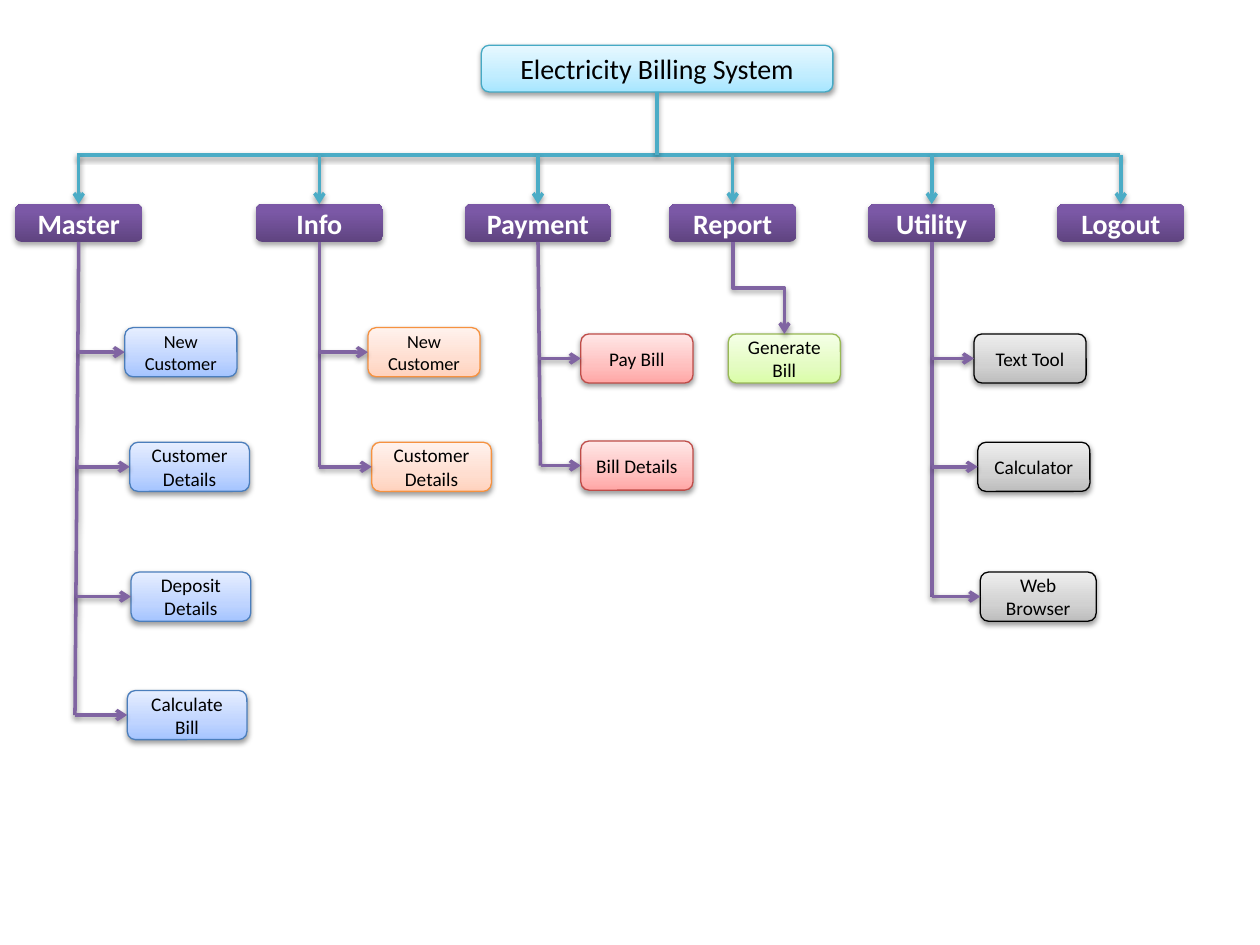
from dataclasses import dataclass

from lxml import etree
from pptx import Presentation, util as u
from pptx.dml.color import RGBColor
from pptx.enum import shapes, text
from pptx.oxml import ns

COLUMNS, ROWS = 1000, 750
HEADER_TOP, HEADER_HEIGHT, LEAF_HEIGHT = 162, 30, 39
BUS_ROW = 123
TEAL, PURPLE = "4BACC6", "8064A2"


@dataclass(frozen=True)
class Palette:
    stops: tuple[tuple[int, str], ...]
    outline: str | None = None
    ink: str = "000000"
    shadow_alpha: int = 38
    shadow_distance: int = 20000


@dataclass(frozen=True)
class Leaf:
    label: str
    left: int
    top: int
    width: int = 89
    size: float = 11

    @property
    def middle(self) -> float:
        return self.top + LEAF_HEIGHT / 2


@dataclass(frozen=True)
class Branch:
    label: str
    left: int
    palette: Palette | None = None
    leaves: tuple[Leaf, ...] = ()
    width: int = 101
    lean: int = 0
    elbow: bool = False

    @property
    def axis(self) -> float:
        return self.left + self.width / 2


def tint(dark: str, mid: str, light: str, outline: str) -> Palette:
    return Palette(((0, dark), (35, mid), (100, light)), outline)


AQUA = tint("A7E6FF", "C1EDFF", "E7F8FF", "46AAC5")
BLUE = tint("A4C4FF", "BFD4FF", "E6EEFF", "4B7EBC")
ORANGE = tint("FFD2BD", "FFDED0", "FFF2ED", "F69240")
RED = tint("FFA6A5", "FFC0BF", "FFE7E7", "BF4C48")
GREEN = tint("DAFDA7", "E4FCC2", "F5FFE7", "98B955")
GREY = tint("BDBDBD", "D1D1D1", "EEEEEE", "000000")
VIOLET = Palette(((0, "5F4480"), (80, "7B58A6"), (100, "7C57A8")), None, "FFFFFF", 35, 23000)

BRANCHES = (
    Branch("Master", 12, BLUE, (
        Leaf("New Customer", 99, 260, size=10.5),
        Leaf("Customer Details", 103, 351, 95),
        Leaf("Deposit Details", 104, 454, 95),
        Leaf("Calculate Bill", 101, 548, 95)), lean=-3),
    Branch("Info", 203, ORANGE, (
        Leaf("New Customer", 292, 260, size=10.5),
        Leaf("Customer Details", 295, 351, 95))),
    Branch("Payment", 369, RED, (
        Leaf("Pay Bill", 461, 265),
        Leaf("Bill Details", 461, 350)), width=116, lean=2),
    Branch("Report", 531, GREEN, (Leaf("Generate Bill", 578, 265),), elbow=True),
    Branch("Utility", 689, GREY, (
        Leaf("Text Tool", 773, 265),
        Leaf("Calculator", 776, 351),
        Leaf("Web Browser", 778, 454, 92))),
    Branch("Logout", 839),
)

deck = Presentation()
deck.slide_width, deck.slide_height = u.Inches(10), u.Inches(7.5)
slide = deck.slides.add_slide(deck.slide_layouts[6])


def across(column: float) -> int:
    return round(deck.slide_width * column / COLUMNS)


def down(row: float) -> int:
    return round(deck.slide_height * row / ROWS)


def colour(value: str) -> RGBColor:
    return RGBColor.from_string(value)


def child(parent, tag: str, **attributes):
    return etree.SubElement(parent, ns.qn(tag), {k: str(v) for k, v in attributes.items()})


def cast_shadow(item, alpha: int = 38, distance: int = 20000) -> None:
    effects = child(item.element.spPr, "a:effectLst")
    shadow = child(effects, "a:outerShdw", blurRad=40000, dist=distance,
                   dir=5400000, rotWithShape=0)
    black = child(shadow, "a:srgbClr", val="000000")
    child(black, "a:alpha", val=alpha * 1000)


def add_box(label: str, left: float, top: float, width: float, height: float,
            palette: Palette, size: float, bold: bool = False) -> None:
    box = slide.shapes.add_shape(shapes.MSO_SHAPE.ROUNDED_RECTANGLE, across(left),
                                 down(top), across(width), down(height))
    box.fill.gradient()
    box.fill.gradient_angle = 90
    stops = box.element.spPr.find(".//" + ns.qn("a:gsLst"))
    stops.clear()
    for position, value in palette.stops:
        child(child(stops, "a:gs", pos=position * 1000), "a:srgbClr", val=value)
    if palette.outline:
        box.line.color.rgb = colour(palette.outline)
        box.line.width = u.Pt(0.75)
    else:
        box.line.fill.background()
    cast_shadow(box, palette.shadow_alpha, palette.shadow_distance)
    frame = box.text_frame
    frame.text = label
    frame.word_wrap = True
    frame.vertical_anchor = text.MSO_ANCHOR.MIDDLE
    paragraph = frame.paragraphs[0]
    paragraph.alignment = text.PP_ALIGN.CENTER
    font = paragraph.runs[0].font
    font.name, font.size, font.bold = "Calibri", u.Pt(size), bold
    font.color.rgb = colour(palette.ink)


def add_link(start: tuple[float, float], end: tuple[float, float], value: str,
             arrow: bool = False, elbow: bool = False) -> None:
    kind = shapes.MSO_CONNECTOR.STRAIGHT
    if elbow:
        kind = shapes.MSO_CONNECTOR.ELBOW
        middle_x, middle_y = (start[0] + end[0]) / 2, (start[1] + end[1]) / 2
        half_x, half_y = (end[0] - start[0]) / 2, (end[1] - start[1]) / 2
        start = (middle_x + half_y, middle_y - half_x)
        end = (middle_x - half_y, middle_y + half_x)
    link = slide.shapes.add_connector(kind, across(start[0]), down(start[1]),
                                      across(end[0]), down(end[1]))
    if elbow:
        link.element.spPr.find(ns.qn("a:xfrm")).set("rot", "16200000")
    link.line.color.rgb = colour(value)
    link.line.width = u.Pt(2)
    if arrow:
        child(link.element.spPr.find(ns.qn("a:ln")), "a:tailEnd", type="arrow")
    cast_shadow(link)


def add_branch(branch: Branch) -> None:
    axis, foot = branch.axis, HEADER_TOP + HEADER_HEIGHT
    add_box(branch.label, branch.left, HEADER_TOP, branch.width, HEADER_HEIGHT,
            VIOLET, 16, bold=True)
    add_link((axis, BUS_ROW), (axis, HEADER_TOP), TEAL, arrow=True)
    for leaf in branch.leaves:
        add_box(leaf.label, leaf.left, leaf.top, leaf.width, LEAF_HEIGHT,
                branch.palette, leaf.size)
    if branch.elbow:
        leaf = branch.leaves[0]
        add_link((axis, foot), (leaf.left + leaf.width / 2, leaf.top), PURPLE,
                 arrow=True, elbow=True)
    elif branch.leaves:
        end = branch.leaves[-1].middle
        add_link((axis, foot), (axis + branch.lean, end), PURPLE)
        for leaf in branch.leaves:
            trunk = axis + branch.lean * (leaf.middle - foot) / (end - foot)
            add_link((trunk, leaf.middle), (leaf.left, leaf.middle), PURPLE, arrow=True)


add_box("Electricity Billing System", 382, 36, 279, 37, AQUA, 16)
add_link((61, BUS_ROW), (889, BUS_ROW), TEAL)
add_link((521.5, 73), (521.5, BUS_ROW), TEAL)
for branch in BRANCHES:
    add_branch(branch)

deck.save("out.pptx")
